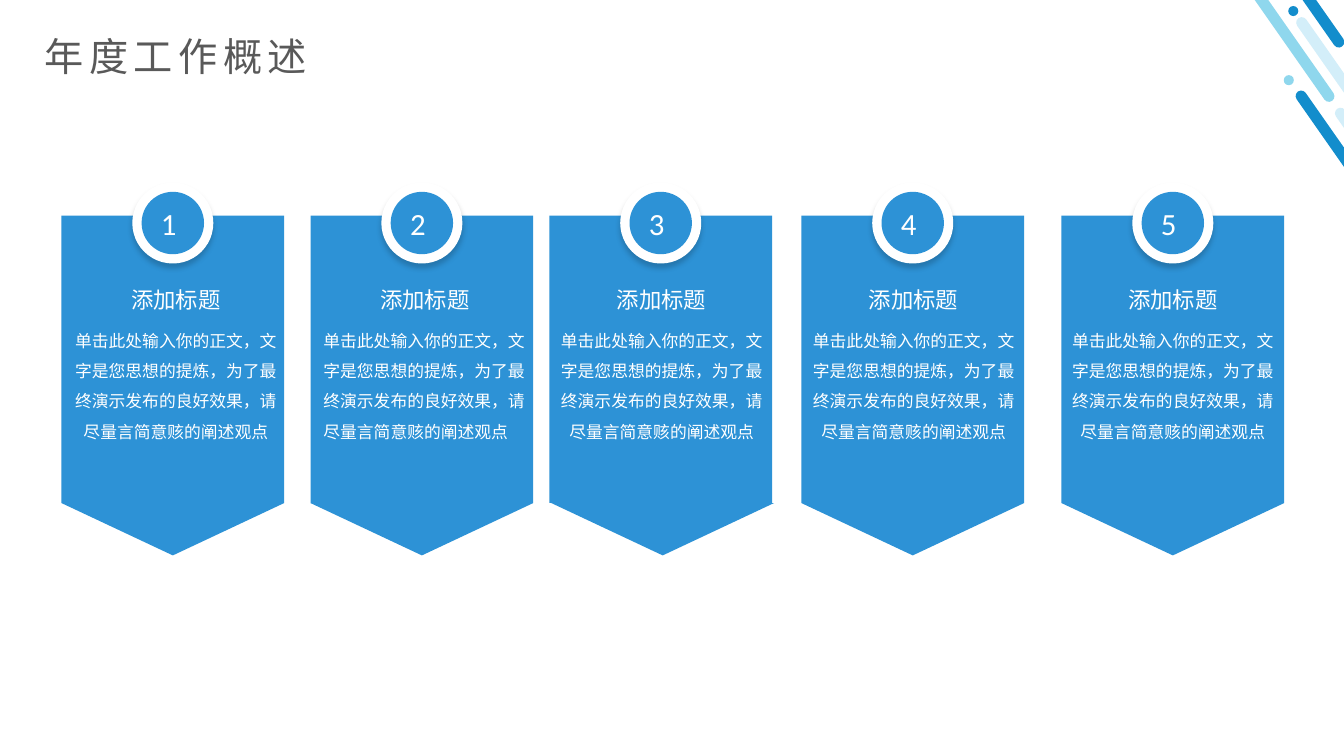
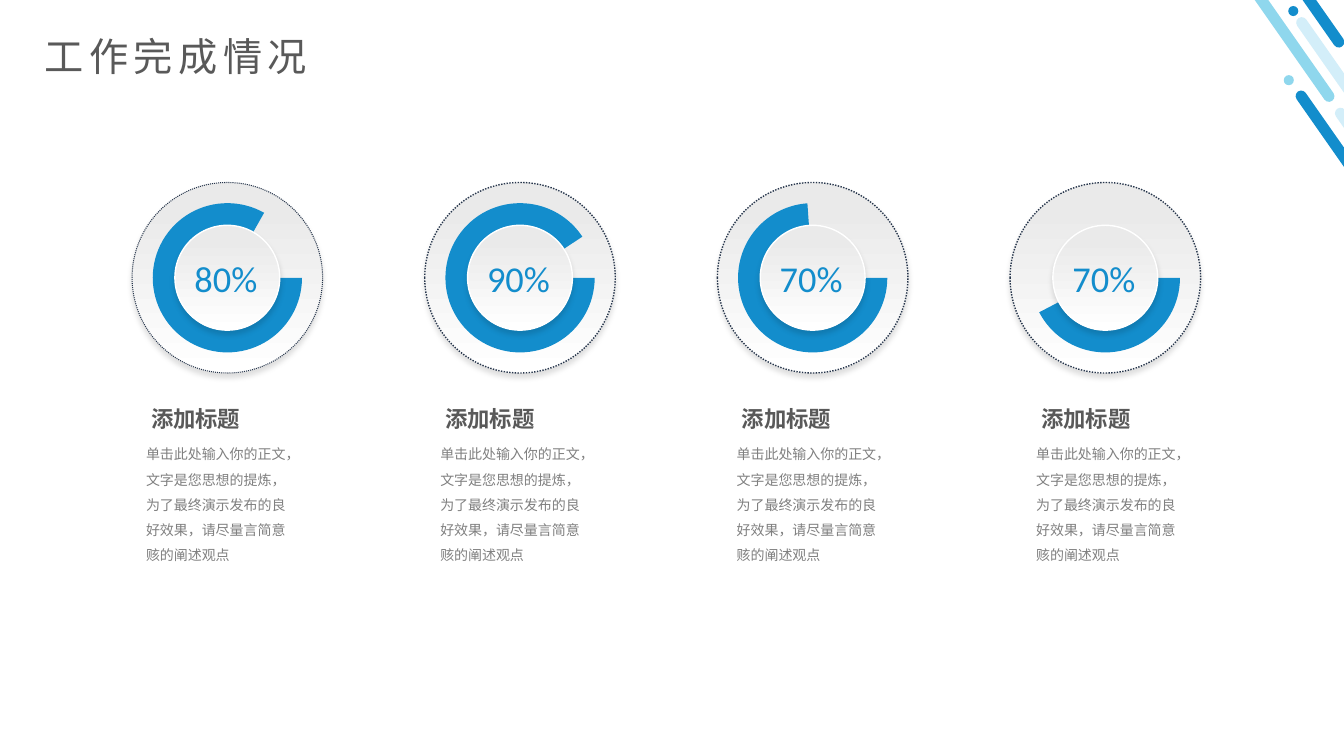
from dataclasses import dataclass
from typing import Any, Optional

from lxml import etree
from pptx import Presentation
from pptx import util as u
from pptx.dml.color import RGBColor
from pptx.enum import dml, shapes, text
from pptx.oxml.ns import qn

HUES = {
    "white": "FFFFFF", "black": "000000", "banner": "2D92D6", "deep": "138DCC",
    "sky": "8FD7ED", "pale": "D3EEF9", "title": "595959", "body": "808080",
    "rim": "27364C", "silver": "EAEAEA",
}
CJK, LATIN = "Noto Sans CJK SC", "Calibri"
HEAD = "添加标题"
BODY = "单击此处输入你的正文，文字是您思想的提炼，为了最终演示发布的良好效果，请尽量言简意赅的阐述观点"
KIND = shapes.MSO_SHAPE
LEFT, MID = text.PP_ALIGN.LEFT, text.PP_ALIGN.CENTER
PROSE = {"line_spacing": 1.5, "space_before": u.Pt(13.3)}


@dataclass(frozen=True)
class Box:
    left: float
    top: float
    wide: float
    high: float

    def pts(self) -> tuple:
        return tuple(u.Pt(v) for v in (self.left, self.top, self.wide, self.high))


@dataclass(frozen=True)
class Type:
    size: float
    hue: str
    face: str = CJK
    bold: bool = False


@dataclass(frozen=True)
class Edge:
    hue: str
    width: float
    dash: Any = None


@dataclass(frozen=True)
class Banner:
    left: float
    words: float
    align: Any = MID
    shift: float = 0


@dataclass(frozen=True)
class Dial:
    label: str
    angle: float
    words: float
    rim: float = 1


BARS = (
    (Box(968.4, 51.1, 7.9, 157.7), "deep"),
    (Box(996.5, 63.4, 7.9, 157.7), "pale"),
    (Box(890.6, -108.7, 7.9, 198.7), "sky"),
    (Box(980.6, -5, 7.9, 198.7), "pale"),
    (Box(909.4, -110.2, 7.9, 157.7), "deep"),
)
DOTS = ((Box(917, 53.7, 7.2, 7.2), "sky"), (Box(920.2, 4.3, 7.2, 7.2), "deep"))
BANNERS = (
    Banner(43.9, 46.1),
    Banner(221.8, 223.9, LEFT),
    Banner(392.4, 393.1, shift=1.4),
    Banner(572.4, 573.1),
    Banner(758.2, 758.2),
)
DIALS = (
    Dial("80%", 299.47, 97.2, 0.75),
    Dial("90%", 326.6, 307.4),
    Dial("70%", 265.94, 519.1),
    Dial("70%", 152.43, 733),
)


def rgb(hue: str) -> RGBColor:
    return RGBColor.from_string(HUES[hue])


def apply(item: Any, form: dict) -> None:
    for key, value in form.items():
        setattr(item, key, value)


def shade(shape: Any, alpha: int) -> None:
    """Cast a soft shadow straight down; alpha is in percent."""
    effects = shape._element.spPr.find(qn("a:effectLst"))
    cast = etree.SubElement(effects, qn("a:outerShdw"), blurRad=str(u.Pt(4)),
                            dist=str(u.Pt(3)), dir="5400000", algn="t", rotWithShape="0")
    tint = etree.SubElement(cast, qn("a:srgbClr"), val=HUES["black"])
    etree.SubElement(tint, qn("a:alpha"), val=str(alpha * 1000))


def draw(group: Any, kind: Any, box: Box, hue: Optional[str] = None,
         edge: Optional[Edge] = None, shadow: int = 0, turn: float = 0) -> Any:
    """Add a preset shape; without a hue it gets the silver gradient."""
    shape = group.add_shape(kind, *box.pts())
    shape.shadow.inherit = False
    shape.rotation = turn
    if hue:
        shape.fill.solid()
        shape.fill.fore_color.rgb = rgb(hue)
    else:
        shape.fill.gradient()
        shape.fill.gradient_angle = 270
        stops = (("silver", 0.14), ("white", 1))
        for stop, (tone, place) in zip(shape.fill.gradient_stops, stops):
            stop.color.rgb = rgb(tone)
            stop.position = place
    if edge:
        shape.line.color.rgb = rgb(edge.hue)
        shape.line.width = u.Pt(edge.width)
        if edge.dash:
            shape.line.dash_style = edge.dash
    else:
        shape.line.fill.background()
    if shadow:
        shade(shape, shadow)
    return shape


def disc(group: Any, x: float, y: float, size: float, hue: Optional[str] = None,
         edge: Optional[Edge] = None, shadow: int = 0, kind: Any = KIND.OVAL) -> Any:
    """Draw a round shape about the centre x, y."""
    box = Box(x - size / 2, y - size / 2, size, size)
    return draw(group, kind, box, hue, edge, shadow)


def fill(frame: Any, words: str, style: Type, form: dict) -> Any:
    """Put one formatted run in a frame and return it."""
    apply(frame, {"word_wrap": True, "auto_size": text.MSO_AUTO_SIZE.NONE})
    para = frame.paragraphs[0]
    apply(para, form)
    run = para.add_run()
    run.text = words
    apply(run.font, {"size": u.Pt(style.size), "bold": style.bold, "name": style.face})
    run.font.color.rgb = rgb(style.hue)
    etree.SubElement(run._r.get_or_add_rPr(), qn("a:ea"), typeface=style.face)
    return run


def write(slide: Any, box: Box, words: str, style: Type, **form: Any) -> None:
    fill(slide.shapes.add_textbox(*box.pts()).text_frame, words, style, form)


def start(deck: Any, title: str) -> Any:
    """Add a slide with the corner stripes and the title."""
    slide = deck.slides.add_slide(deck.slide_layouts[5])
    corner = slide.shapes.add_group_shape().shapes
    for box, hue in BARS:
        bar = draw(corner, KIND.ROUNDED_RECTANGLE, box, hue, turn=325)
        bar.adjustments[0] = 0.5
    for box, hue in DOTS:
        draw(corner, KIND.OVAL, box, hue)
    head = slide.shapes.title
    places = Box(24.5, 19.4, 937.4, 41).pts()
    apply(head, dict(zip(("left", "top", "width", "height"), places)))
    head.text_frame.vertical_anchor = text.MSO_ANCHOR.MIDDLE
    run = fill(head.text_frame, title, Type(28, "title"), {"alignment": LEFT})
    run._r.get_or_add_rPr().set("spc", "400")
    return slide


def hang(slide: Any, number: int, item: Banner) -> None:
    """Draw one numbered banner with its point and text."""
    group, wide, top, high = slide.shapes, 159.1, 154.1, 205.2
    mid = item.left + wide / 2
    draw(group, KIND.RECTANGLE, Box(item.left, top, wide, high), "banner")
    draw(group, KIND.ISOSCELES_TRIANGLE,
         Box(item.left + item.shift, top + high, wide, 37.4), "banner", turn=180)
    disc(group, mid, 159.3, 56.9, "white", Edge("white", 1), 18)
    disc(group, mid, 159.3, 44.6, "banner")
    write(slide, Box(item.left + 64, 142.6, 41.8, 33.8), str(number),
          Type(22, "white", LATIN))
    write(slide, Box(item.words, 225.4, wide, 107.3), BODY, Type(12, "white"),
          alignment=item.align, **PROSE)
    write(slide, Box(item.words + 19.8, 200.9, 119.5, 26.6), HEAD, Type(16, "white"),
          alignment=MID)


def gauge(slide: Any, x: float, item: Dial) -> None:
    """Draw one dial about the centre x, with its text below."""
    group, y = slide.shapes, 198.4
    disc(group, x, y, 136.1, edge=Edge("rim", item.rim, dml.MSO_LINE.ROUND_DOT), shadow=13)
    pie = disc(group, x, y, 106.6, "deep", kind=KIND.PIE)
    pie.adjustments[0] = 0
    pie.adjustments[1] = item.angle * 0.6
    disc(group, x, y, 74.9, edge=Edge("white", 1), shadow=13)
    write(slide, Box(x - 30.6, 179.3, 66, 38.9), item.label, Type(26, "deep", LATIN))
    write(slide, Box(item.words, 308.9, 116.6, 63.4), BODY, Type(10, "body"), **PROSE)
    write(slide, Box(item.words + 3.6, 285.8, 90, 26.6), HEAD,
          Type(16, "title", bold=True))


def main() -> None:
    deck = Presentation()
    apply(deck, {"slide_width": u.Pt(960), "slide_height": u.Pt(540)})
    slide = start(deck, "年度工作概述")
    for number, item in enumerate(BANNERS, 1):
        hang(slide, number, item)
    slide = start(deck, "工作完成情况")
    for index, item in enumerate(DIALS):
        gauge(slide, 162.4 + 209.05 * index, item)
    deck.save("out.pptx")


if __name__ == "__main__":
    main()
